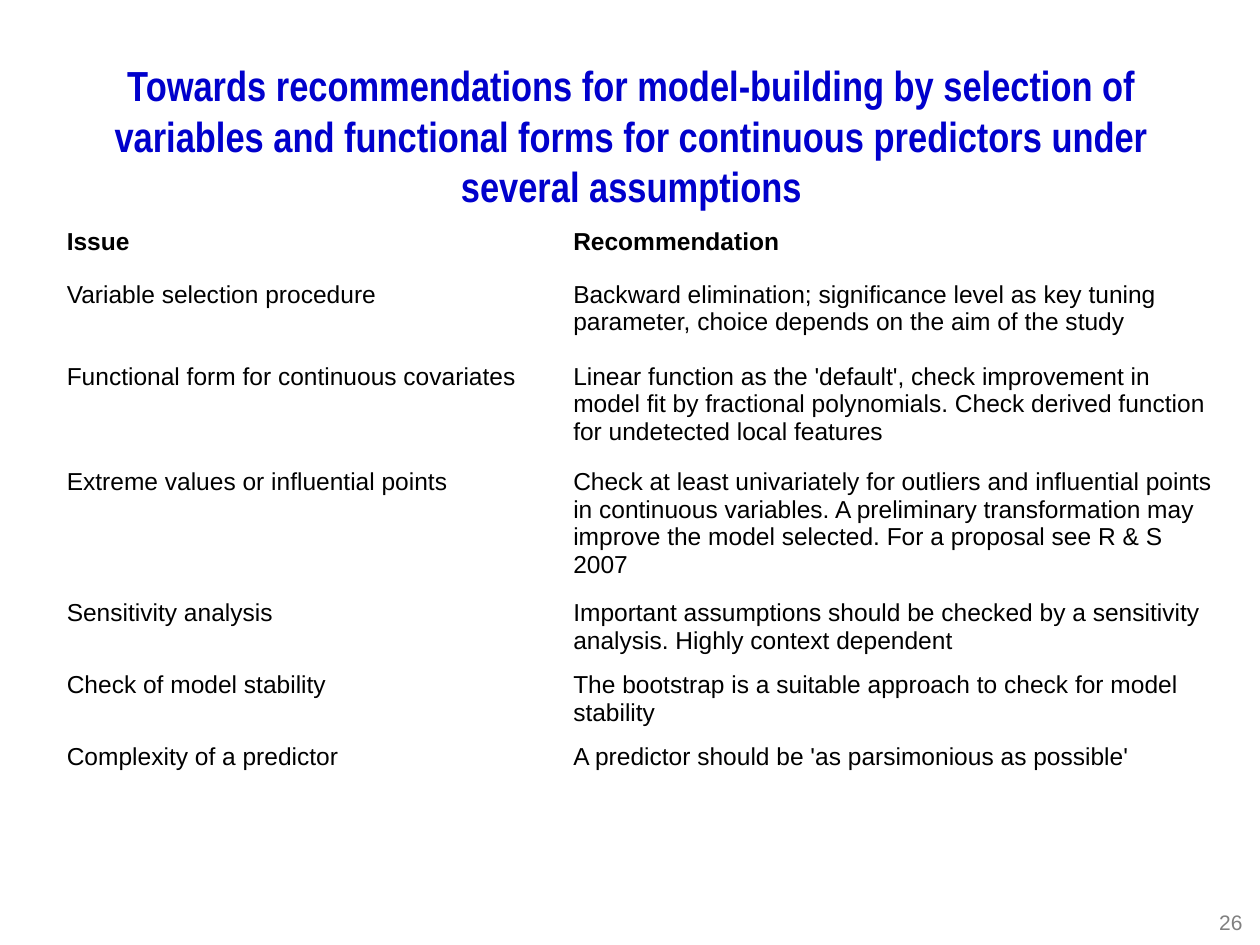
from pptx import Presentation
from pptx.dml.color import RGBColor
from pptx.enum.text import MSO_ANCHOR, PP_ALIGN
from pptx.util import Inches, Pt

TITLE = ("Towards recommendations for model-building by selection of variables "
         "and functional forms for continuous predictors under several assumptions")
PAGE = "26"
ROWS = [
    (0.42, "Issue", "Recommendation"),
    (0.65, "Variable selection procedure",
     "Backward elimination; significance level as key tuning parameter, "
     "choice depends on the aim of the study"),
    (0.84, "Functional form for continuous covariates",
     "Linear function as the 'default', check improvement in model fit by "
     "fractional polynomials. Check derived function for undetected local features"),
    (1.04, "Extreme values or influential points",
     "Check at least univariately for outliers and influential points in "
     "continuous variables. A preliminary transformation may improve the model "
     "selected. For a proposal see R & S 2007"),
    (0.57, "Sensitivity analysis",
     "Important assumptions should be checked by a sensitivity analysis. "
     "Highly context dependent"),
    (0.57, "Check of model stability",
     "The bootstrap is a suitable approach to check for model stability"),
    (0.56, "Complexity of a predictor",
     "A predictor should be 'as parsimonious as possible'"),
]
COL_WIDTHS = [4.02, 5.28]


def set_text(tf, text, size, color, font="Arial", bold=False, align=PP_ALIGN.LEFT):
    tf.text = text
    tf.word_wrap = True
    p = tf.paragraphs[0]
    p.alignment = align
    f = p.runs[0].font
    f.name, f.size, f.bold = font, Pt(size), bold
    f.color.rgb = RGBColor.from_string(color)
    return p


def add_title(slide):
    sp = slide.shapes.title
    sp.left, sp.top, sp.width, sp.height = map(Inches, (0.51, 0.45, 9, 1.25))
    sp.text_frame.vertical_anchor = MSO_ANCHOR.MIDDLE
    set_text(sp.text_frame, TITLE, 24, "0000CC", "Arial Narrow", True, PP_ALIGN.CENTER)


def add_recommendations(slide):
    height = sum(row[0] for row in ROWS)
    frame = slide.shapes.add_table(len(ROWS), len(COL_WIDTHS), Inches(0.43), Inches(1.76),
                                   Inches(sum(COL_WIDTHS)), Inches(height))
    table = frame.table
    table.horz_banding = False
    for col, width in zip(table.columns, COL_WIDTHS):
        col.width = Inches(width)
    for i, (row_height, *texts) in enumerate(ROWS):
        table.rows[i].height = Inches(row_height)
        for cell, text in zip(table.rows[i].cells, texts):
            cell.fill.background()
            p = set_text(cell.text_frame, text, 14, "000000", bold=i == 0)
            p.space_before = Pt(3.5)


def add_page_number(slide):
    sp = slide.shapes.add_textbox(*map(Inches, (7.63, 7.17, 2.33, 0.52)))
    set_text(sp.text_frame, PAGE, 12, "808080", align=PP_ALIGN.RIGHT)


def main():
    prs = Presentation()
    prs.slide_width, prs.slide_height = Inches(10), Inches(7.5)
    slide = prs.slides.add_slide(prs.slide_layouts[5])
    add_page_number(slide)
    add_title(slide)
    add_recommendations(slide)
    prs.save("out.pptx")


if __name__ == "__main__":
    main()
